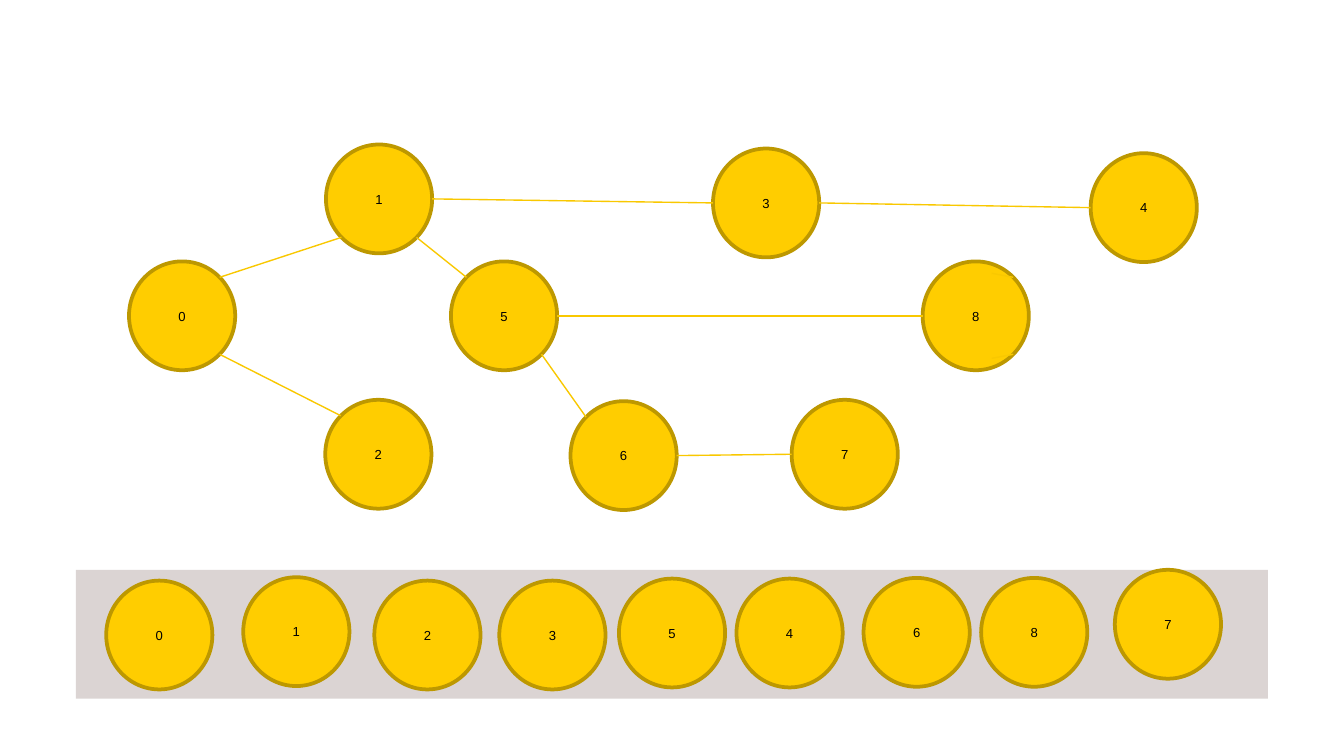
import math
from dataclasses import dataclass

import pptx
import pptx.dml.color
import pptx.enum.shapes
import pptx.enum.text
import pptx.oxml
import pptx.oxml.ns
import pptx.util
from lxml import etree


@dataclass(frozen=True)
class Theme:
    """Colours, type and line sizes of the slide."""
    node: str = "FFCD00"
    outline: str = "BD9800"
    edge: str = "F9C800"
    band: str = "DBD4D3"
    text: str = "000000"
    font: str = "Arial"
    text_size: float = 7
    outline_width: float = 2
    edge_width: float = 0.75


THEME = Theme()
EMU_PER_PX = 4572
SLIDE_WIDTH, SLIDE_HEIGHT = 2000, 1125
NODE_WIDTH, NODE_HEIGHT = 158, 162
TOP_LEFT, LEFT, BOTTOM_LEFT, BOTTOM_RIGHT, RIGHT, TOP_RIGHT = 1, 2, 3, 5, 6, 7

TREE_BOX = (192, 215, 1589, 544)
TREE_NODES = {
    "0": (0, 174), "2": (292, 380), "1": (293, 0), "4": (1431, 13), "5": (479, 174),
    "3": (869, 6), "6": (657, 382), "8": (1181, 174), "7": (986, 380),
}
TREE_EDGES = [
    ("0", TOP_RIGHT, "1", BOTTOM_LEFT), ("0", BOTTOM_RIGHT, "2", TOP_LEFT),
    ("1", RIGHT, "3", LEFT), ("3", RIGHT, "4", LEFT),
    ("1", BOTTOM_RIGHT, "5", TOP_LEFT), ("5", BOTTOM_RIGHT, "6", TOP_LEFT),
    ("5", RIGHT, "8", LEFT), ("6", RIGHT, "7", LEFT),
]
TREE_STUBS = [("8", TOP_RIGHT, (-32, -6)), ("8", BOTTOM_RIGHT, (-32, 6))]

QUEUE_BOX = (113, 848, 1774, 192)
QUEUE_NODES = {
    "0": (45, 16), "1": (249, 11), "2": (444, 16), "3": (630, 16), "5": (808, 13),
    "4": (983, 13), "6": (1172, 12), "8": (1347, 12), "7": (1546, 0),
}


def px(length):
    """Turn px into EMU."""
    return pptx.util.Emu(round(length * EMU_PER_PX))


def color(value):
    """Turn a hex string into an RGB colour."""
    return pptx.dml.color.RGBColor.from_string(value)


def add_node(slide, left, top, label):
    """Add one labelled circle."""
    node = slide.shapes.add_shape(
        pptx.enum.shapes.MSO_SHAPE.OVAL, px(left), px(top), px(NODE_WIDTH), px(NODE_HEIGHT))
    node.shadow.inherit = False
    node.fill.solid()
    node.fill.fore_color.rgb = color(THEME.node)
    node.line.color.rgb = color(THEME.outline)
    node.line.width = pptx.util.Pt(THEME.outline_width)
    frame = node.text_frame
    frame.margin_left = frame.margin_right = frame.margin_top = frame.margin_bottom = 0
    frame.vertical_anchor = pptx.enum.text.MSO_ANCHOR.MIDDLE
    paragraph = frame.paragraphs[0]
    paragraph.text = label
    paragraph.alignment = pptx.enum.text.PP_ALIGN.CENTER
    paragraph.font.name = THEME.font
    paragraph.font.size = pptx.util.Pt(THEME.text_size)
    paragraph.font.color.rgb = color(THEME.text)
    return node


def site_point(node, site):
    """Return the point of a circle's connection site, counted from the top anticlockwise."""
    angle = math.radians(90 + 45 * site)
    x = node.left + node.width / 2 * (1 + math.cos(angle))
    y = node.top + node.height / 2 * (1 - math.sin(angle))
    return pptx.util.Emu(round(x)), pptx.util.Emu(round(y))


def add_edge(slide, start, end):
    """Add a straight line between two points."""
    edge = slide.shapes.add_connector(
        pptx.enum.shapes.MSO_CONNECTOR.STRAIGHT, *start, *end)
    edge.line.color.rgb = color(THEME.edge)
    edge.line.width = pptx.util.Pt(THEME.edge_width)
    etree.SubElement(edge._element.spPr, pptx.oxml.ns.qn("a:effectLst"))
    return edge


def join(edge, tag, node, site):
    """Attach one end of an edge to a circle's connection site."""
    properties = edge._element.nvCxnSpPr.cNvCxnSpPr
    etree.SubElement(
        properties, pptx.oxml.ns.qn(tag), id=str(node.shape_id), idx=str(site))


def add_nodes(slide, box, positions):
    """Add labelled circles at offsets within a box."""
    left, top, _, _ = box
    return {label: add_node(slide, left + x, top + y, label)
            for label, (x, y) in positions.items()}


def add_tree(slide, box):
    """Add the linked circles of the tree."""
    nodes = add_nodes(slide, box, TREE_NODES)
    for source, source_site, target, target_site in TREE_EDGES:
        edge = add_edge(slide, site_point(nodes[source], source_site),
                        site_point(nodes[target], target_site))
        join(edge, "a:stCxn", nodes[source], source_site)
        join(edge, "a:endCxn", nodes[target], target_site)
    for source, site, (dx, dy) in TREE_STUBS:
        x, y = site_point(nodes[source], site)
        edge = add_edge(slide, (x, y), (x + px(dx), y + px(dy)))
        join(edge, "a:stCxn", nodes[source], site)


def add_queue(slide, box):
    """Add the band with its row of circles."""
    band = slide.shapes.add_shape(
        pptx.enum.shapes.MSO_SHAPE.RECTANGLE, *(px(length) for length in box))
    band.shadow.inherit = False
    band.fill.solid()
    band.fill.fore_color.rgb = color(THEME.band)
    band.line.fill.background()
    add_nodes(slide, box, QUEUE_NODES)


def main():
    """Build and save the presentation."""
    presentation = pptx.Presentation()
    presentation.slide_width, presentation.slide_height = px(SLIDE_WIDTH), px(SLIDE_HEIGHT)
    slide = presentation.slides.add_slide(presentation.slide_layouts[6])
    add_queue(slide, QUEUE_BOX)
    add_tree(slide, TREE_BOX)
    presentation.save("out.pptx")


if __name__ == "__main__":
    main()
